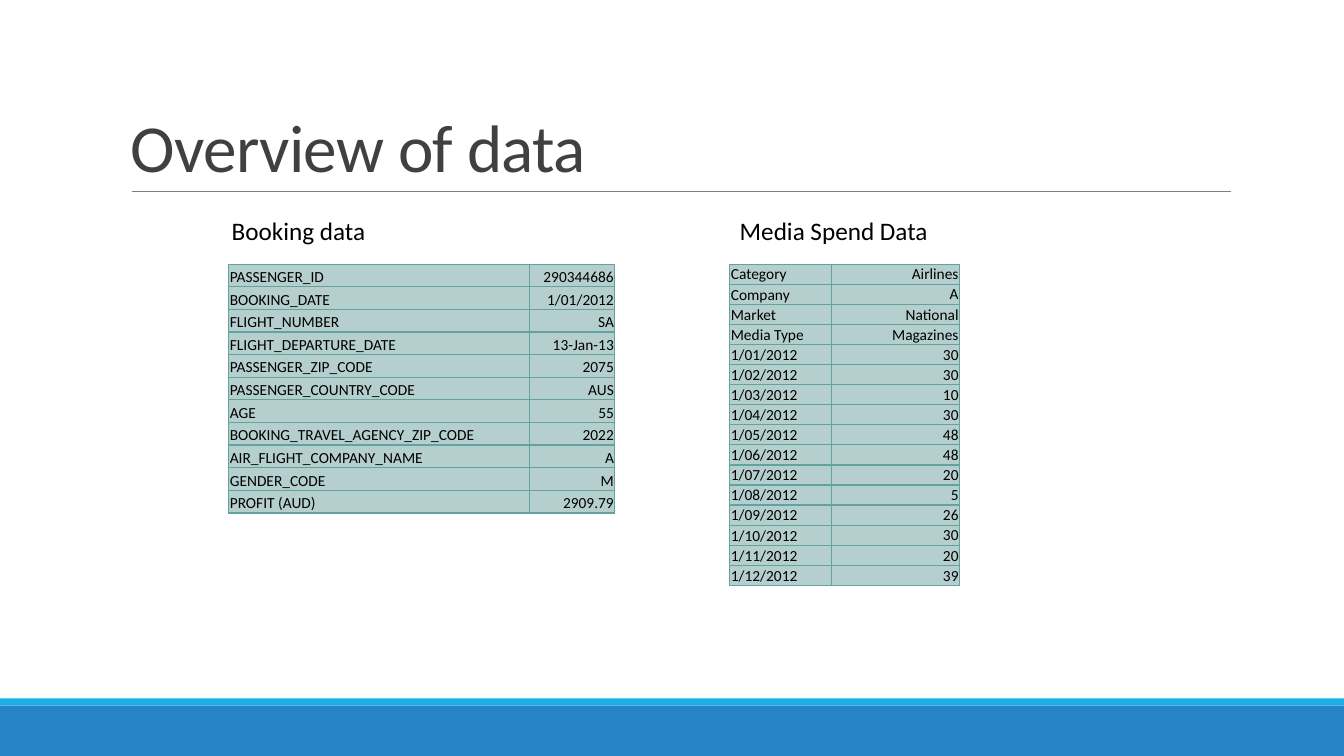
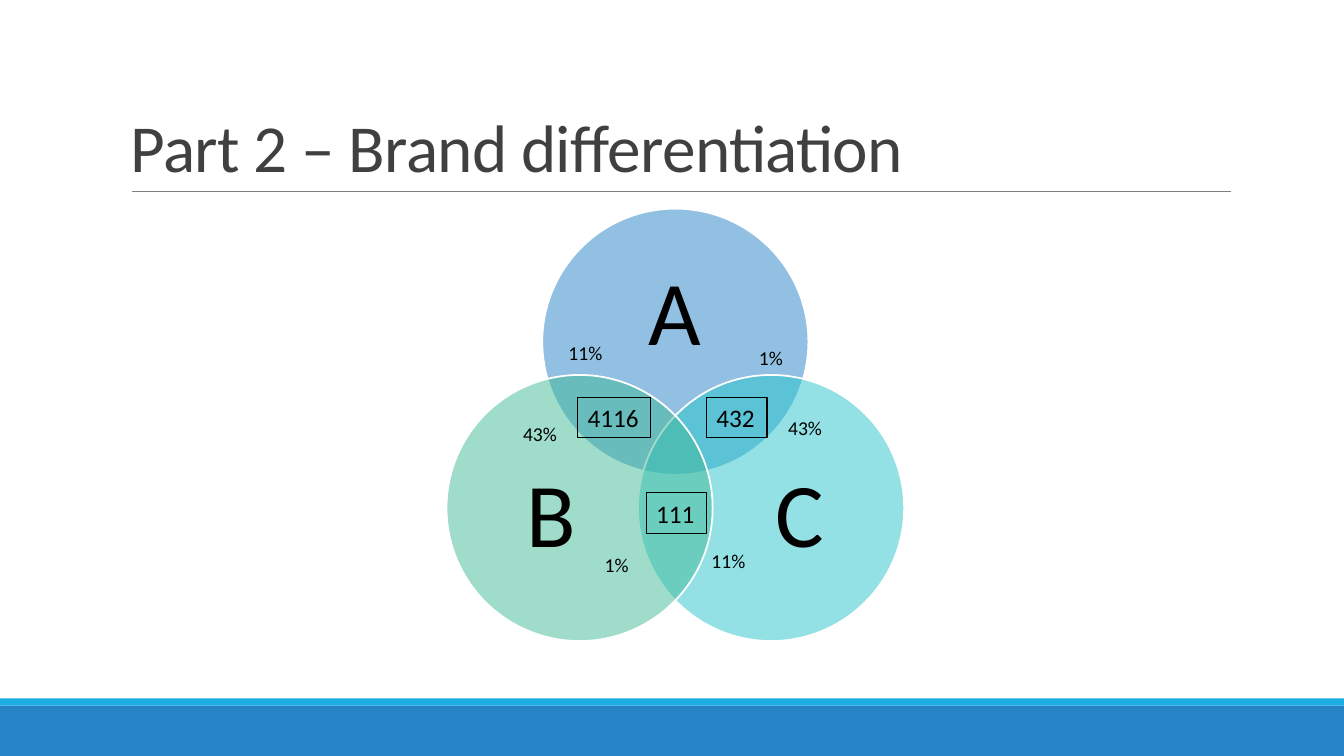
"""Build two slides: an overview of two data tables and a brand Venn diagram."""
from dataclasses import dataclass
from itertools import product

from lxml import etree
from pptx import Presentation
from pptx import util as u
from pptx.dml.color import RGBColor
from pptx.enum import shapes, text
from pptx.oxml.ns import qn


@dataclass(frozen=True)
class Theme:
    font: str = "Calibri"
    ink: str = "000000"
    title_ink: str = "404040"
    paper: str = "FFFFFF"
    rule: str = "808080"
    band: str = "2683C6"
    stripe: str = "1CADE4"
    cell: str = "B5CFCE"
    border: str = "62A39F"
    circle_a: str = "2683C6"
    circle_b: str = "42BA97"
    circle_c: str = "28C4CC"
    title_size: float = 48
    letter_size: float = 65
    heading_size: float = 18
    percent_size: float = 14
    table_size: float = 11


@dataclass(frozen=True)
class Box:
    """A place on the grid: column, row, columns wide, rows high."""
    left: float
    top: float
    width: float
    height: float

    def lengths(self) -> tuple:
        return tuple(grid(n) for n in (self.left, self.top, self.width, self.height))


@dataclass(frozen=True)
class DataTable:
    heading: str
    heading_box: Box
    box: Box
    label_width: float
    value_anchor: text.MSO_ANCHOR
    rows: tuple


@dataclass(frozen=True)
class Brand:
    letter: str
    colour: str
    column: float
    row: float
    label: Box


@dataclass(frozen=True)
class Figure:
    wording: str
    left: float
    top: float


THEME = Theme()
CELL = u.Inches(0.1)
COLUMNS, ROWS = 133.33, 75
DIAMETER = 26.4
BOTTOM, TOP = text.MSO_ANCHOR.BOTTOM, text.MSO_ANCHOR.TOP

TABLES = (
    DataTable("Booking data", Box(22, 20.9, 19.8, 4), Box(22.7, 26.2, 38.3, 24.7), 29.8, BOTTOM, (
        ("PASSENGER_ID", "290344686"),
        ("BOOKING_DATE", "1/01/2012"),
        ("FLIGHT_NUMBER", "SA"),
        ("FLIGHT_DEPARTURE_DATE", "13-Jan-13"),
        ("PASSENGER_ZIP_CODE", "2075"),
        ("PASSENGER_COUNTRY_CODE", "AUS"),
        ("AGE", "55"),
        ("BOOKING_TRAVEL_AGENCY_ZIP_CODE", "2022"),
        ("AIR_FLIGHT_COMPANY_NAME", "A"),
        ("GENDER_CODE", "M"),
        ("PROFIT (AUD)", "2909.79"),
    )),
    DataTable("Media Spend Data", Box(72.4, 20.9, 21, 4), Box(72.4, 26.2, 22.8, 31.9), 10.1, TOP, (
        ("Category", "Airlines"),
        ("Company", "A"),
        ("Market", "National"),
        ("Media Type", "Magazines"),
        *((f"1/{month:02d}/2012", str(spend)) for month, spend in enumerate(
            (30, 30, 10, 30, 48, 48, 20, 5, 26, 30, 20, 39), start=1)),
    )),
)

BRANDS = (
    Brand("A", THEME.circle_a, 67, 33.9, Box(57.3, 25.4, 19.4, 11.9)),
    Brand("C", THEME.circle_c, 76.5, 50.4, Box(71.4, 44.1, 15.8, 14.5)),
    Brand("B", THEME.circle_b, 57.5, 50.4, Box(46.8, 44.1, 15.8, 14.5)),
)
OVERLAPS = (
    ("4116", Box(57.3, 39.4, 7.2, 4)),
    ("432", Box(70.1, 39.4, 6, 4)),
    ("111", Box(64.1, 48.9, 6, 4)),
)
PERCENTS = (
    Figure("11%", 55.4, 33.3), Figure("43%", 50.9, 41.4), Figure("1%", 59, 54.4),
    Figure("1%", 74.3, 33.8), Figure("43%", 77.2, 40.8), Figure("11%", 69.6, 54),
)


def grid(cells: float) -> int:
    return round(cells * CELL)


def rgb(colour: str) -> RGBColor:
    return RGBColor.from_string(colour)


def write(frame, wording: str, size: float, colour: str = THEME.ink,
          align=text.PP_ALIGN.LEFT, spacing: float = 1.0) -> None:
    frame.word_wrap = True
    paragraph = frame.paragraphs[0]
    paragraph.alignment = align
    paragraph.line_spacing = spacing
    run = paragraph.add_run()
    run.text = wording
    run.font.name = THEME.font
    run.font.size = u.Pt(size)
    run.font.color.rgb = rgb(colour)


def set_margins(target, left: float, top: float, right: float, bottom: float) -> None:
    target.margin_left, target.margin_top = u.Inches(left), u.Inches(top)
    target.margin_right, target.margin_bottom = u.Inches(right), u.Inches(bottom)


def add_text(slide, box: Box, wording: str, size: float, anchor=TOP, **style):
    shape = slide.shapes.add_textbox(*box.lengths())
    shape.text_frame.vertical_anchor = anchor
    write(shape.text_frame, wording, size, **style)
    return shape


def add_figure(slide, kind, box: Box, fill: str = "", line: str = "", weight: float = 0):
    shape = slide.shapes.add_shape(kind, *box.lengths())
    shape.shadow.inherit = False
    if fill:
        shape.fill.solid()
        shape.fill.fore_color.rgb = rgb(fill)
    else:
        shape.fill.background()
    if line:
        shape.line.color.rgb = rgb(line)
        shape.line.width = u.Pt(weight)
    else:
        shape.line.fill.background()
    return shape


def add_base(presentation, title: str):
    slide = presentation.slides.add_slide(presentation.slide_layouts[6])
    rectangle = shapes.MSO_SHAPE.RECTANGLE
    add_figure(slide, rectangle, Box(0, 70, COLUMNS, 5), THEME.band)
    add_figure(slide, rectangle, Box(0, 69.3, COLUMNS, 0.7), THEME.stripe)
    rule = slide.shapes.add_connector(
        shapes.MSO_CONNECTOR.STRAIGHT, grid(13.1), grid(19), grid(122.1), grid(19))
    rule.line.color.rgb = rgb(THEME.rule)
    rule.line.width = u.Pt(0.5)
    etree.SubElement(rule.element.spPr, qn("a:effectLst"))
    heading = add_text(slide, Box(12, 3.1, 110, 15.9), title, THEME.title_size, BOTTOM,
                       colour=THEME.title_ink, spacing=0.85)
    for properties in heading.element.iter(qn("a:rPr")):
        properties.set("spc", "-50")
    return slide


def add_borders(cell) -> None:
    properties = cell._tc.get_or_add_tcPr()
    for side in ("lnL", "lnR", "lnT", "lnB"):
        line = etree.SubElement(properties, qn(f"a:{side}"), w=str(u.Pt(1)))
        fill = etree.SubElement(line, qn("a:solidFill"))
        etree.SubElement(fill, qn("a:srgbClr"), val=THEME.border)


def add_data_table(slide, data: DataTable) -> None:
    add_text(slide, data.heading_box, data.heading, THEME.heading_size)
    count = len(data.rows)
    table = slide.shapes.add_table(count, 2, *data.box.lengths()).table
    table.first_row = table.horz_banding = False
    widths = (data.label_width, data.box.width - data.label_width)
    for column, width in zip(table.columns, widths):
        column.width = grid(width)
    for row in table.rows:
        row.height = grid(data.box.height / count)
    aligns = (text.PP_ALIGN.LEFT, text.PP_ALIGN.RIGHT)
    anchors = (BOTTOM, data.value_anchor)
    for row, column in product(range(count), range(2)):
        cell = table.cell(row, column)
        add_borders(cell)
        cell.fill.solid()
        cell.fill.fore_color.rgb = rgb(THEME.cell)
        set_margins(cell, 0.01, 0.01, 0.01, 0)
        cell.vertical_anchor = anchors[column]
        write(cell.text_frame, data.rows[row][column], THEME.table_size, align=aligns[column])


def add_brand(slide, brand: Brand) -> None:
    box = Box(brand.column - DIAMETER / 2, brand.row - DIAMETER / 2, DIAMETER, DIAMETER)
    circle = add_figure(slide, shapes.MSO_SHAPE.OVAL, box, brand.colour, THEME.paper, 1.25)
    colour = circle.element.spPr.find(qn("a:solidFill")).find(qn("a:srgbClr"))
    etree.SubElement(colour, qn("a:alpha"), val="50000")
    label = add_text(slide, brand.label, brand.letter, THEME.letter_size,
                     text.MSO_ANCHOR.MIDDLE, align=text.PP_ALIGN.CENTER, spacing=0.9)
    set_margins(label.text_frame, 0, 0, 0, 0)


def add_overlap(slide, wording: str, box: Box) -> None:
    shape = add_figure(slide, shapes.MSO_SHAPE.RECTANGLE, box, line=THEME.ink, weight=0.75)
    shape.text_frame.vertical_anchor = TOP
    write(shape.text_frame, wording, THEME.heading_size)


def main() -> None:
    presentation = Presentation()
    presentation.slide_width, presentation.slide_height = grid(COLUMNS), grid(ROWS)

    overview = add_base(presentation, "Overview of data")
    for data in TABLES:
        add_data_table(overview, data)

    differentiation = add_base(presentation, "Part 2 – Brand differentiation")
    for brand in BRANDS:
        add_brand(differentiation, brand)
    for wording, box in OVERLAPS:
        add_overlap(differentiation, wording, box)
    for figure in PERCENTS:
        add_text(differentiation, Box(figure.left, figure.top, 7.2, 3.4),
                 figure.wording, THEME.percent_size)

    presentation.save("out.pptx")


if __name__ == "__main__":
    main()
